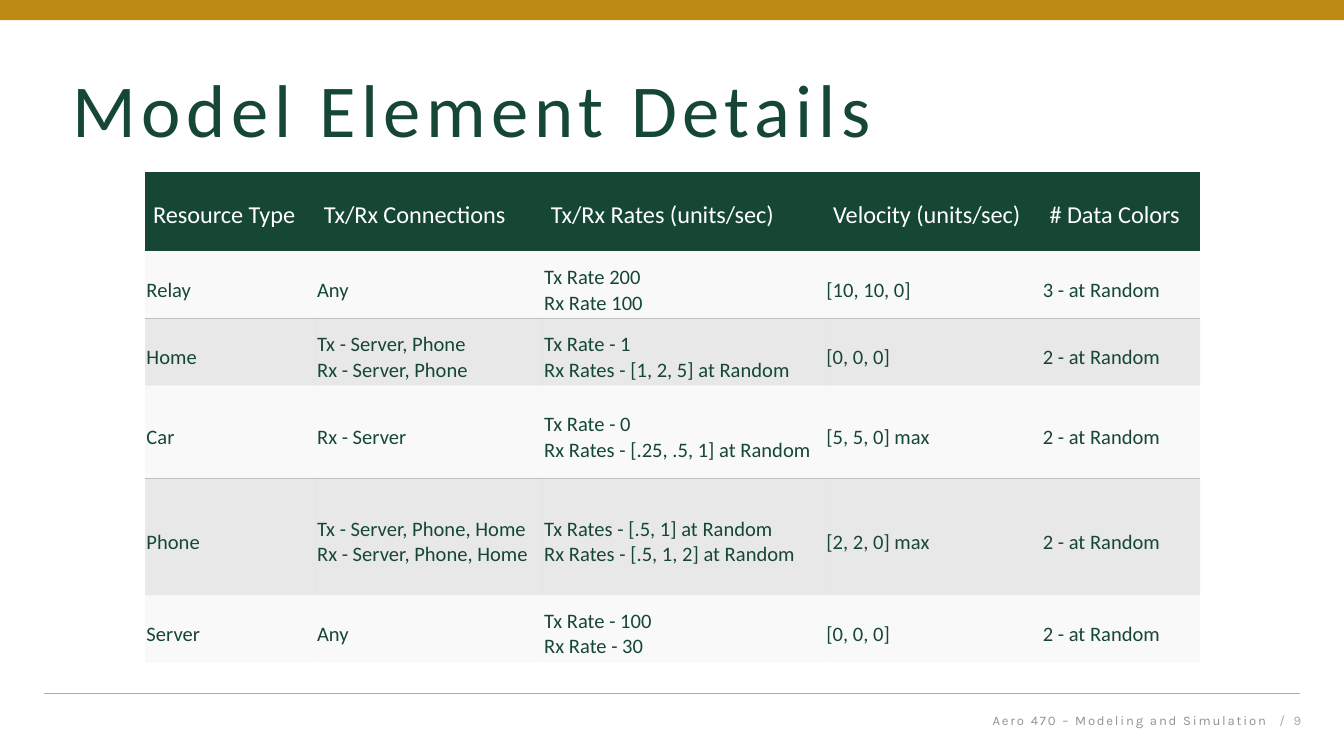
from lxml.etree import SubElement
from pptx import Presentation
from pptx.dml.color import RGBColor
from pptx.enum.shapes import MSO_CONNECTOR, MSO_SHAPE
from pptx.enum.text import MSO_ANCHOR, MSO_AUTO_SIZE, PP_ALIGN
from pptx.oxml import parse_xml
from pptx.oxml.ns import nsdecls, qn
from pptx.util import Inches, Pt

GREEN = RGBColor(0x15, 0x47, 0x34)
GOLD = RGBColor(0xBD, 0x8B, 0x13)
WHITE = RGBColor(0xFF, 0xFF, 0xFF)
PALE = RGBColor(0xF2, 0xF2, 0xF2)
GRAY = RGBColor(0xBF, 0xBF, 0xBF)
RULE_GRAY = RGBColor(0xAF, 0xAB, 0xAB)
FOOTER_GRAY = RGBColor(0x8C, 0x95, 0x90)
NO_STYLE_NO_GRID = "{2D5ABB26-0587-4C30-8999-92F81FD0307C}"


def set_tracking(run, points):
    run.font._element.set("spc", str(int(points * 100)))


def add_footer_text(left, width, color, pieces):
    """Add right-aligned footer text from (text, letter spacing) pieces."""
    footer = slide.shapes.add_textbox(
        Inches(left), Inches(5.21), Inches(width), Inches(0.3))
    frame = footer.text_frame
    frame.word_wrap = True
    frame.vertical_anchor = MSO_ANCHOR.MIDDLE
    paragraph = frame.paragraphs[0]
    paragraph.alignment = PP_ALIGN.RIGHT
    paragraph.font.name = "Karla"
    paragraph.font.size = Pt(7)
    paragraph.font.color.rgb = color
    for text, tracking in pieces:
        run = paragraph.add_run()
        run.text = text
        set_tracking(run, tracking)


prs = Presentation()
prs.slide_width = Inches(10)
prs.slide_height = prs.slide_width * 9 // 16
slide = prs.slides.add_slide(prs.slide_layouts[5])

# Frame of the page
footer_rule = slide.shapes.add_connector(
    MSO_CONNECTOR.STRAIGHT, Inches(0.33), Inches(5.16), Inches(9.67), Inches(5.16))
footer_rule.line.color.rgb = RULE_GRAY
footer_rule.line.width = Pt(0.5)
SubElement(footer_rule._element.spPr, qn("a:effectLst"))

top_band = slide.shapes.add_shape(
    MSO_SHAPE.RECTANGLE, 0, 0, prs.slide_width, Inches(0.15))
top_band.shadow.inherit = False
top_band.fill.solid()
top_band.fill.fore_color.rgb = GOLD
top_band.line.fill.background()

# Title
title = slide.shapes.title
title.left, title.top = Inches(0.44), Inches(0.59)
title.width, title.height = Inches(6.57), Inches(0.51)
title.text_frame.text = "Model Element Details"
title.text_frame.auto_size = MSO_AUTO_SIZE.NONE
title.text_frame.vertical_anchor = MSO_ANCHOR.MIDDLE
heading = title.text_frame.paragraphs[0]
heading.alignment = PP_ALIGN.LEFT
heading.line_spacing = 0.9
heading.font.name = "Calibri"
heading.font.size = Pt(40)
heading.font.color.rgb = GREEN
set_tracking(heading.runs[0], 3)

# Footer
add_footer_text(6.14, 3.38, FOOTER_GRAY, [("Aero 470 – Modeling and Simulation", 1)])
add_footer_text(9.33, 0.45, RULE_GRAY, [("/ ", 1.5), ("9", 0)])

# Table of resources
resources = [
    ["Resource Type", "Tx/Rx Connections", "Tx/Rx Rates (units/sec)",
     "Velocity (units/sec)", "# Data Colors"],
    ["Relay", "Any", "Tx Rate 200\nRx Rate 100", "[10, 10, 0]", "3 - at Random"],
    ["Home", "Tx - Server, Phone\nRx - Server, Phone",
     "Tx Rate - 1\nRx Rates - [1, 2, 5] at Random", "[0, 0, 0]", "2 - at Random"],
    ["Car", "Rx - Server", "Tx Rate - 0\nRx Rates - [.25, .5, 1] at Random",
     "[5, 5, 0] max", "2 - at Random"],
    ["Phone", "Tx - Server, Phone, Home\nRx - Server, Phone, Home",
     "Tx Rates - [.5, 1] at Random\nRx Rates - [.5, 1, 2] at Random",
     "[2, 2, 0] max", "2 - at Random"],
    ["Server", "Any", "Tx Rate - 100\nRx Rate - 30", "[0, 0, 0]", "2 - at Random"],
]
column_widths = [1.27, 1.69, 2.1, 1.61, 1.18]
row_heights = [0.59, 0.5, 0.5, 0.69, 0.87, 0.5]
# The line between two rows belongs to both of them
ruled_edges = {1: "lnB", 2: "lnT", 3: "lnB", 4: "lnT"}
ruled_fill = f'<a:solidFill><a:srgbClr val="{GRAY}"/></a:solidFill>'

table_frame = slide.shapes.add_table(
    len(resources), len(column_widths), Inches(1.08), Inches(1.28),
    Inches(sum(column_widths)), Inches(sum(row_heights)))
table = table_frame.table
table.horz_banding = False
table._tbl.tblPr.find(qn("a:tableStyleId")).text = NO_STYLE_NO_GRID
for column, width in zip(table.columns, column_widths):
    column.width = Inches(width)
for row, height in zip(table.rows, row_heights):
    row.height = Inches(height)

for row_index, values in enumerate(resources):
    is_header = row_index == 0
    if is_header:
        fill_color, opacity = GREEN, 100
    elif row_index % 2:
        fill_color, opacity = PALE, 45
    else:
        fill_color, opacity = GRAY, 35

    for column_index, value in enumerate(values):
        cell = table.cell(row_index, column_index)
        cell.text = value
        cell.vertical_anchor = MSO_ANCHOR.MIDDLE
        cell.margin_left = cell.margin_right = Inches(0.06 if is_header else 0.01)
        cell.margin_top = Inches(0.09)
        cell.margin_bottom = Inches(0.03 if is_header else 0.01)
        for paragraph in cell.text_frame.paragraphs:
            paragraph.font.name = "Calibri"
            paragraph.font.size = Pt(13 if is_header else 11)
            paragraph.font.bold = False
            paragraph.font.color.rgb = WHITE if is_header else GREEN

        cell.fill.solid()
        cell.fill.fore_color.rgb = fill_color
        cell_properties = cell._tc.tcPr
        if opacity < 100:
            fill_xml = cell_properties.find(qn("a:solidFill"))[0]
            SubElement(fill_xml, qn("a:alpha"), val=str(opacity * 1000))
        for position, edge in enumerate(["lnL", "lnR", "lnT", "lnB"]):
            is_ruled = ruled_edges.get(row_index) == edge
            edge_fill = ruled_fill if is_ruled else "<a:noFill/>"
            cell_properties.insert(position, parse_xml(
                f'<a:{edge} {nsdecls("a")} w="{Pt(1)}">{edge_fill}</a:{edge}>'))

prs.save("out.pptx")
